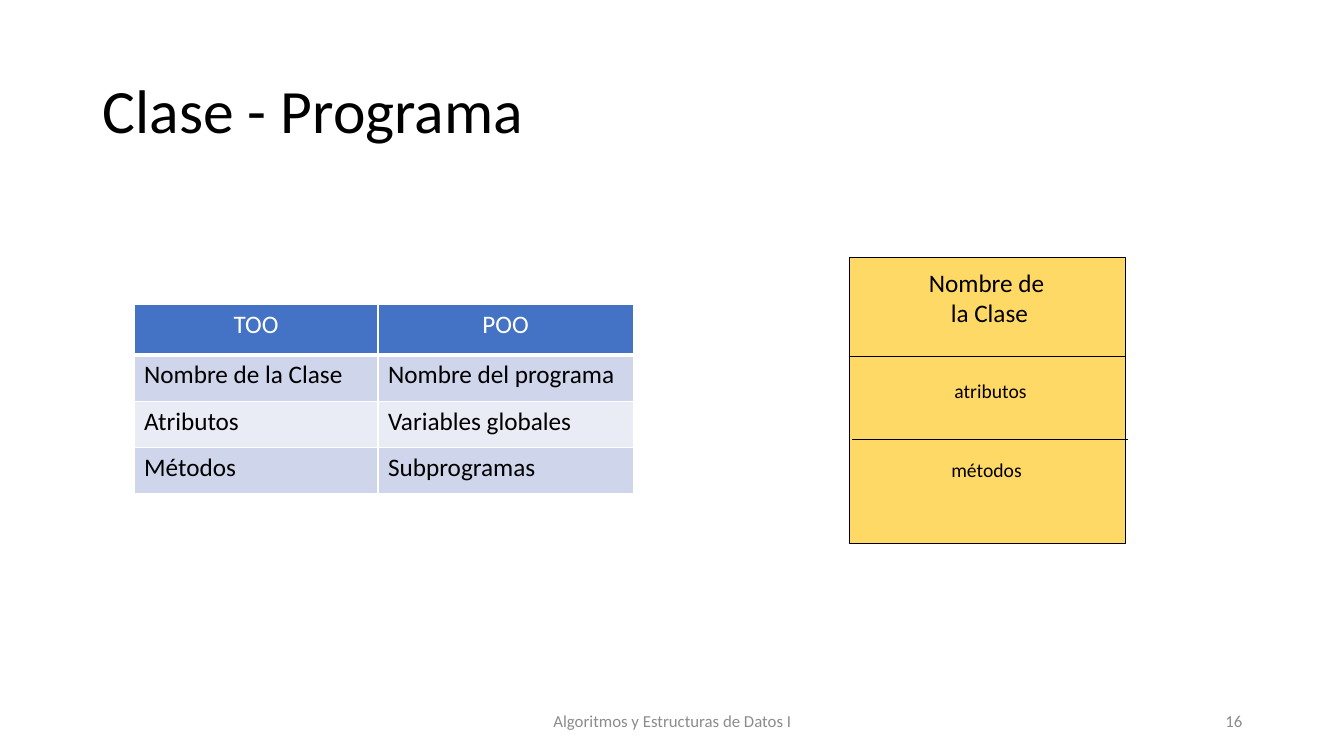
from lxml.etree import SubElement
from pptx import Presentation
from pptx.dml.color import RGBColor
from pptx.enum.shapes import MSO_CONNECTOR, MSO_SHAPE
from pptx.enum.text import MSO_ANCHOR, MSO_AUTO_SIZE, PP_ALIGN
from pptx.oxml.ns import qn
from pptx.util import Inches, Pt


def color(value):
    return RGBColor.from_string(value)


def write(paragraph, text, size, value, alignment=PP_ALIGN.LEFT):
    paragraph.alignment = alignment
    run = paragraph.add_run()
    run.text = text
    run.font.name = "Calibri"
    run.font.size = Pt(size)
    run.font.color.rgb = color(value)


presentation = Presentation()
presentation.slide_width = Inches(13.33)
presentation.slide_height = Inches(7.5)
slide = presentation.slides.add_slide(presentation.slide_layouts[5])

title = slide.shapes.title
title.left, title.top = Inches(0.92), Inches(0.4)
title.width, title.height = Inches(11.5), Inches(1.45)
title.text_frame.vertical_anchor = MSO_ANCHOR.MIDDLE
title.text_frame.paragraphs[0].line_spacing = 0.9
write(title.text_frame.paragraphs[0], "Clase - Programa", 44, "000000")

footers = [
    (4.42, 4.5, "Algoritmos y Estructuras de Datos I", PP_ALIGN.CENTER),
    (9.42, 3, "16", PP_ALIGN.RIGHT),
]
for left, width, text, alignment in footers:
    footer = slide.shapes.add_textbox(Inches(left), Inches(6.95), Inches(width), Inches(0.4))
    footer.text_frame.word_wrap = True
    footer.text_frame.vertical_anchor = MSO_ANCHOR.MIDDLE
    write(footer.text_frame.paragraphs[0], text, 12, "8C8C8C", alignment)

class_diagram = slide.shapes.add_group_shape()
boxes = [
    (8.42, 2.55, 2.74, 2.84, [], 18),
    (8.66, 2.6, 2.25, 0.71, ["Nombre de", " la Clase"], 18),
    (9.36, 3.71, 0.93, 0.34, ["atributos"], 14),
    (9.33, 4.49, 0.91, 0.34, ["métodos"], 14),
]
for left, top, width, height, lines, size in boxes:
    box = class_diagram.shapes.add_shape(
        MSO_SHAPE.RECTANGLE, Inches(left), Inches(top), Inches(width), Inches(height)
    )
    box.shadow.inherit = False
    box.fill.solid()
    box.fill.fore_color.rgb = color("FFD966")
    if not lines:
        box.line.color.rgb = color("000000")
        box.line.width = Pt(0.5)
        continue
    box.line.fill.background()
    frame = box.text_frame
    frame.word_wrap = len(lines) > 1
    frame.auto_size = MSO_AUTO_SIZE.SHAPE_TO_FIT_TEXT
    frame.vertical_anchor = MSO_ANCHOR.TOP
    for index, line in enumerate(lines):
        paragraph = frame.add_paragraph() if index else frame.paragraphs[0]
        write(paragraph, line, size, "000000", PP_ALIGN.CENTER)

for left, top in [(8.42, 3.54), (8.45, 4.36)]:
    divider = class_diagram.shapes.add_connector(
        MSO_CONNECTOR.STRAIGHT, Inches(left), Inches(top), Inches(left + 2.74), Inches(top)
    )
    divider.line.color.rgb = color("000000")
    divider.line.width = Pt(0.5)
    SubElement(divider._element.spPr, qn("a:effectLst"))

rows = [
    ("TOO", "POO"),
    ("Nombre de la Clase", "Nombre del programa"),
    ("Atributos", "Variables globales"),
    ("Métodos", "Subprogramas"),
]
row_fills = ["4472C4", "CFD5EA", "E9EBF5", "CFD5EA"]
table = slide.shapes.add_table(
    4, 2, Inches(1.33), Inches(3.02), Inches(4.95), Inches(1.88)
).table
for column, width in zip(table.columns, [2.42, 2.53]):
    column.width = Inches(width)
for row, height in zip(table.rows, [0.5, 0.46, 0.46, 0.46]):
    row.height = Inches(height)

for row_index, texts in enumerate(rows):
    header = row_index == 0
    for column_index, text in enumerate(texts):
        cell = table.cell(row_index, column_index)
        properties = cell._tc.get_or_add_tcPr()
        for side in ["lnL", "lnR", "lnT", "lnB"]:
            width = Pt(3 if header and side == "lnB" else 1)
            border = SubElement(properties, qn(f"a:{side}"), w=str(width))
            border_fill = SubElement(border, qn("a:solidFill"))
            SubElement(border_fill, qn("a:srgbClr"), val="FFFFFF")
        cell.fill.solid()
        cell.fill.fore_color.rgb = color(row_fills[row_index])
        write(
            cell.text_frame.paragraphs[0],
            text,
            18,
            "FFFFFF" if header else "000000",
            PP_ALIGN.CENTER if header else PP_ALIGN.LEFT,
        )
        cell.text_frame.paragraphs[0].runs[0].font.bold = False

presentation.save("out.pptx")
